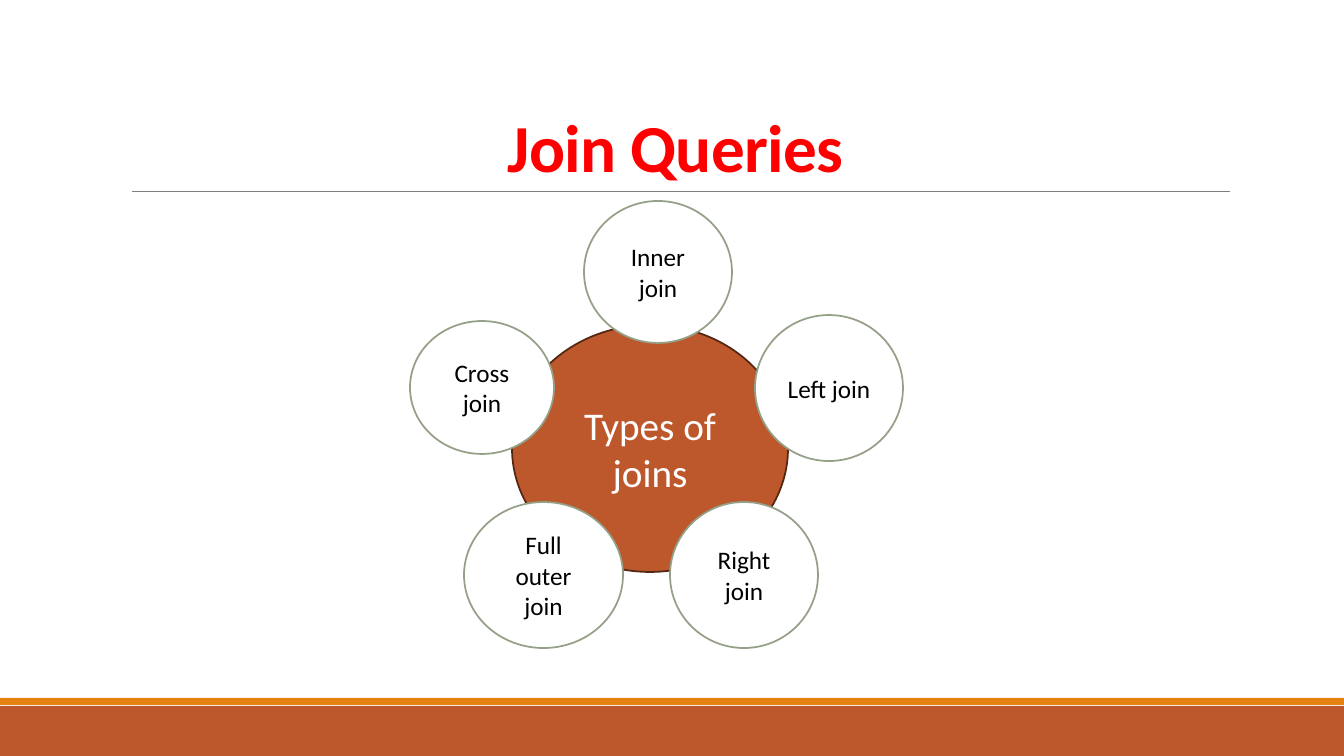
from pptx import Presentation
from pptx.dml.color import RGBColor
from pptx.enum.shapes import MSO_CONNECTOR, MSO_SHAPE
from pptx.enum.text import MSO_ANCHOR, PP_ALIGN
from pptx.oxml.ns import qn
from pptx.util import Emu, Pt
from lxml import etree

RECTANGLE = MSO_SHAPE.RECTANGLE
CIRCLE = MSO_SHAPE.FLOWCHART_CONNECTOR
STRAIGHT = MSO_CONNECTOR.STRAIGHT
CENTER = PP_ALIGN.CENTER
MIDDLE = MSO_ANCHOR.MIDDLE
BOTTOM = MSO_ANCHOR.BOTTOM

# Content: boxes are left, top, width, height in px
SLIDE_WIDTH, SLIDE_HEIGHT = 1344, 756
FONT = "Calibri"
TITLE = ("Join Queries", (121, 31, 1109, 160))
RULE = (132, 191, 1230, 191)
FOOTER_BANDS = [
    ((0, 706, SLIDE_WIDTH, 50), "BD582C"),
    ((0, 698, SLIDE_WIDTH, 7), "E48312"),
]
HUB = ("Types of joins", (512, 325, 276, 247))
JOINS = [
    ("Inner join", (584, 201, 148, 142)),
    ("Left join", (755, 315, 148, 146)),
    ("Right join", (670, 502, 148, 146)),
    ("Full outer join", (464, 502, 159, 146)),
    ("Cross join", (410, 321, 144, 133)),
]


def px(length):
    return Emu(round(length * 914400 / 100.8))


def color(value):
    return RGBColor.from_string(value)


def format_paragraph(paragraph, size, text_color):
    paragraph.alignment = CENTER
    paragraph.font.name = FONT
    paragraph.font.size = Pt(size)
    paragraph.font.color.rgb = color(text_color)


def add_filled(kind, box, fill):
    shape = slide.shapes.add_shape(kind, *map(px, box))
    shape.shadow.inherit = False
    shape.fill.solid()
    shape.fill.fore_color.rgb = color(fill)
    return shape


def add_circle(text, box, fill, line, size, text_color):
    shape = add_filled(CIRCLE, box, fill)
    shape.line.color.rgb = color(line)
    shape.line.width = Pt(1.25)
    frame = shape.text_frame
    frame.word_wrap = True
    frame.vertical_anchor = MIDDLE
    frame.text = text
    format_paragraph(frame.paragraphs[0], size, text_color)


presentation = Presentation()
presentation.slide_width = px(SLIDE_WIDTH)
presentation.slide_height = px(SLIDE_HEIGHT)
slide = presentation.slides.add_slide(presentation.slide_layouts[5])

# Footer bands
for box, fill in FOOTER_BANDS:
    add_filled(RECTANGLE, box, fill).line.fill.background()

# Rule under the title
rule = slide.shapes.add_connector(STRAIGHT, *map(px, RULE))
rule.line.color.rgb = color("808080")
rule.line.width = Pt(0.5)
etree.SubElement(rule._element.spPr, qn("a:effectLst"))

# Title
text, box = TITLE
title = slide.shapes.title
title.left, title.top, title.width, title.height = map(px, box)
title.text_frame.text = text
title.text_frame.vertical_anchor = BOTTOM
heading = title.text_frame.paragraphs[0]
format_paragraph(heading, 48, "FF0000")
heading.font.bold = True
heading.line_spacing = 0.85
heading.runs[0]._r.get_or_add_rPr().set("spc", "-50")

# Hub with the join types around it
add_circle(*HUB, "BD582C", "532713", 28, "FFFFFF")
for text, box in JOINS:
    add_circle(text, box, "FFFFFF", "94A088", 18, "000000")

presentation.save("out.pptx")
